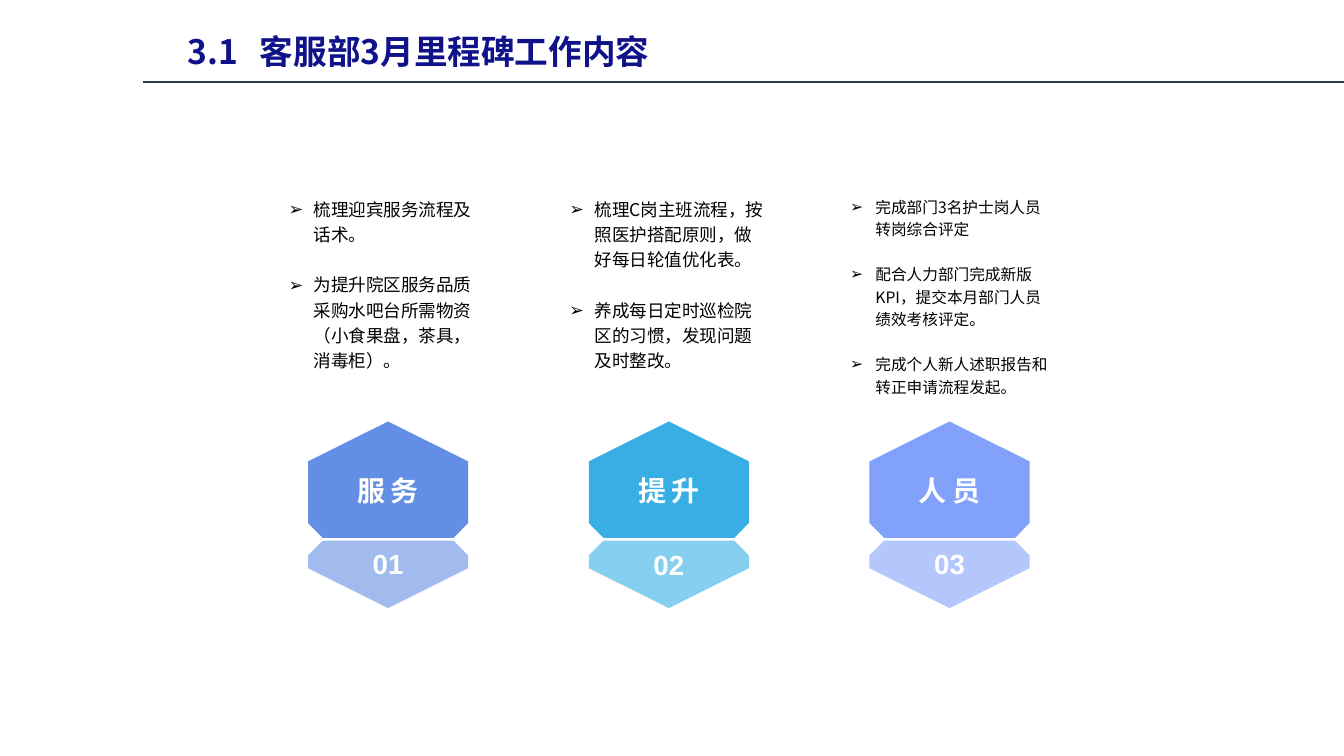
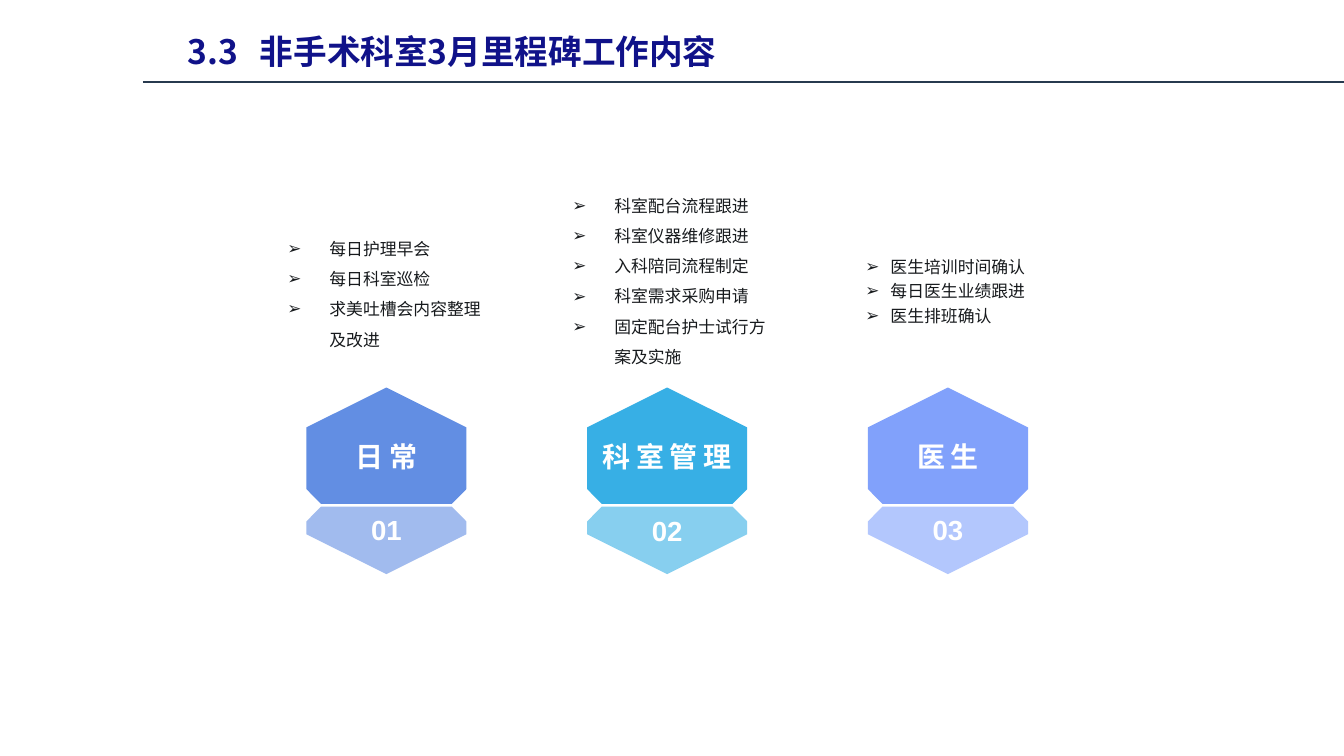
from lxml.etree import SubElement
from pptx import Presentation
from pptx.dml.color import RGBColor
from pptx.enum.shapes import MSO_CONNECTOR
from pptx.enum.text import MSO_ANCHOR, PP_ALIGN
from pptx.oxml.ns import qn
from pptx.util import Pt

SANS = "Noto Sans CJK SC"
WHITE, NAVY, SLATE = "FFFFFF", "101289", "273A4F"
TONES = [("628EE3", "A1BBEE"), ("37AFE5", "87CFEF"), ("81A1FB", "B3C7FD")]
STEP = 150.4
UPPER = [(0, 0), (42.9, 21.4), (42.9, 54.4), (35, 62.4),
         (-35, 62.4), (-42.9, 54.4), (-42.9, 21.4)]
LOWER = [(-35, 63.8), (35, 63.8), (42.9, 71.8), (42.9, 78.6),
         (0, 100), (-42.9, 78.6), (-42.9, 71.8)]


def paint(fill, tone):
    fill.solid()
    fill.fore_color.rgb = RGBColor.from_string(tone)


def write(slide, box, lines, size, tone, face=SANS, bold=False, space=1.0,
          align=PP_ALIGN.LEFT, anchor=MSO_ANCHOR.TOP):
    frame = slide.shapes.add_textbox(*map(Pt, box)).text_frame
    frame.word_wrap = True
    frame.vertical_anchor = anchor
    for num, line in enumerate(lines):
        para = frame.add_paragraph() if num else frame.paragraphs[0]
        para.text = line
        para.alignment = align
        para.line_spacing = space
        font = para.font
        font.size, font.bold, font.name = Pt(size), bold, face
        paint(font.fill, tone)
        base = para._p.pPr.find(qn("a:defRPr"))
        SubElement(base, qn("a:ea")).set("typeface", SANS)
    return frame


PAGES = [
    {"title": "3.1\t客服部3月里程碑工作内容", "mid": 207.9, "top": 225.8, "ink": "000000",
     "cols": [
         {"name": "服务", "box": (147.6, 105.1, 120.2, 110.9), "size": 9.4,
          "space": 1.2, "indent": 13.5, "gap": 13.55, "below": 13.55,
          "lines": ["梳理迎宾服务流程及话术。",
                    "为提升院区服务品质采购水吧台所需物资（小食果盘，茶具，消毒柜）。"]},
         {"name": "提升", "box": (298, 105.1, 120.2, 110.9), "size": 9.4,
          "space": 1.2, "indent": 13.5, "gap": 13.55, "below": 13.55,
          "lines": ["梳理C岗主班流程，按照医护搭配原则，做好每日轮值优化表。",
                    "养成每日定时巡检院区的习惯，发现问题及时整改。"]},
         {"name": "人员", "box": (448.4, 105.1, 120.2, 110.9), "size": 8.4,
          "space": 1.2, "indent": 13.5, "gap": 12.05, "below": 0,
          "lines": ["完成部门3名护士岗人员转岗综合评定",
                    "配合人力部门完成新版KPI，提交本月部门人员绩效考核评定。",
                    "完成个人新人述职报告和转正申请流程发起。"]}]},
    {"title": "3.3\t非手术科室3月里程碑工作内容", "mid": 207, "top": 207.6, "ink": "171A1D",
     "cols": [
         {"name": "日常", "box": (146.9, 117.4, 120.2, 73.4), "size": 9,
          "space": 1.5, "indent": 22.5, "gap": 0, "below": 0,
          "lines": ["每日护理早会", "每日科室巡检", "求美吐槽会内容整理及改进"]},
         {"name": "科室管理", "box": (299.5, 89.3, 120.2, 110.9), "size": 9,
          "space": 1.5, "indent": 22.5, "gap": 0, "below": 0,
          "lines": ["科室配台流程跟进", "科室仪器维修跟进", "入科陪同流程制定",
                    "科室需求采购申请", "固定配台护士试行方案及实施"]},
         {"name": "医生", "box": (456.5, 117.4, 120.2, 86.4), "size": 9,
          "space": 1.2, "indent": 13.5, "gap": 0, "below": 25.8,
          "lines": ["医生培训时间确认", "每日医生业绩跟进", "医生排班确认"]}]},
]

deck = Presentation()
deck.slide_width, deck.slide_height = Pt(720), Pt(405)

for page in PAGES:
    slide = deck.slides.add_slide(deck.slide_layouts[6])
    head = write(slide, (93.6, 2.2, 529.2, 39.6), [page["title"]], 18, NAVY,
                 bold=True, space=1.5)
    base = head.paragraphs[0]._p.pPr.find(qn("a:defRPr"))
    tabs = base.makeelement(qn("a:tabLst"), {})
    SubElement(tabs, qn("a:tab"), pos=str(Pt(38.5)), algn="l")
    base.addprevious(tabs)

    rule = slide.shapes.add_connector(
        MSO_CONNECTOR.STRAIGHT, Pt(76.5), Pt(43.9), Pt(720), Pt(43.9))
    paint(rule.line.fill, SLATE)
    rule.line.width = Pt(1)
    SubElement(rule._element.spPr, qn("a:effectLst"))

    top = page["top"]
    for num, (col, tones) in enumerate(zip(page["cols"], TONES)):
        mid = page["mid"] + num * STEP
        for points, tone in zip((UPPER, LOWER), tones):
            spots = [(Pt(mid + x), Pt(top + y)) for x, y in points]
            pen = slide.shapes.build_freeform(*spots[0])
            pen.add_line_segments(spots[1:], close=True)
            badge = pen.convert_to_shape()
            badge.shadow.inherit = False
            paint(badge.fill, tone)
            badge.line.fill.background()

        notes = write(slide, col["box"], col["lines"], col["size"], page["ink"],
                      space=col["space"], anchor=MSO_ANCHOR.BOTTOM)
        notes.margin_bottom = Pt(3.6 + col["below"])
        for para in notes.paragraphs:
            if col["gap"] and para.text != col["lines"][-1]:
                para.space_after = Pt(col["gap"])
            props = para._p.pPr
            props.set("marL", str(Pt(col["indent"])))
            props.set("indent", str(-Pt(col["indent"])))
            base = props.find(qn("a:defRPr"))
            base.addprevious(base.makeelement(qn("a:buFont"), {"typeface": "Arial"}))
            base.addprevious(base.makeelement(qn("a:buChar"), {"char": "➢"}))

        label = write(slide, (mid - 45, top + 9.4, 90, 53.3), [col["name"]], 15, WHITE,
                      "Arial", True, 1.1, PP_ALIGN.CENTER, MSO_ANCHOR.MIDDLE)
        label.paragraphs[0]._p.pPr.find(qn("a:defRPr")).set("spc", "300")
        drop = 0.6 if num == 1 else 0
        write(slide, (mid - 21.2, top + 63.6 + drop, 42.4, 27.4), [f"{num + 1:02}"],
              14.8, WHITE, "Arial", True, align=PP_ALIGN.CENTER)

deck.save("out.pptx")
